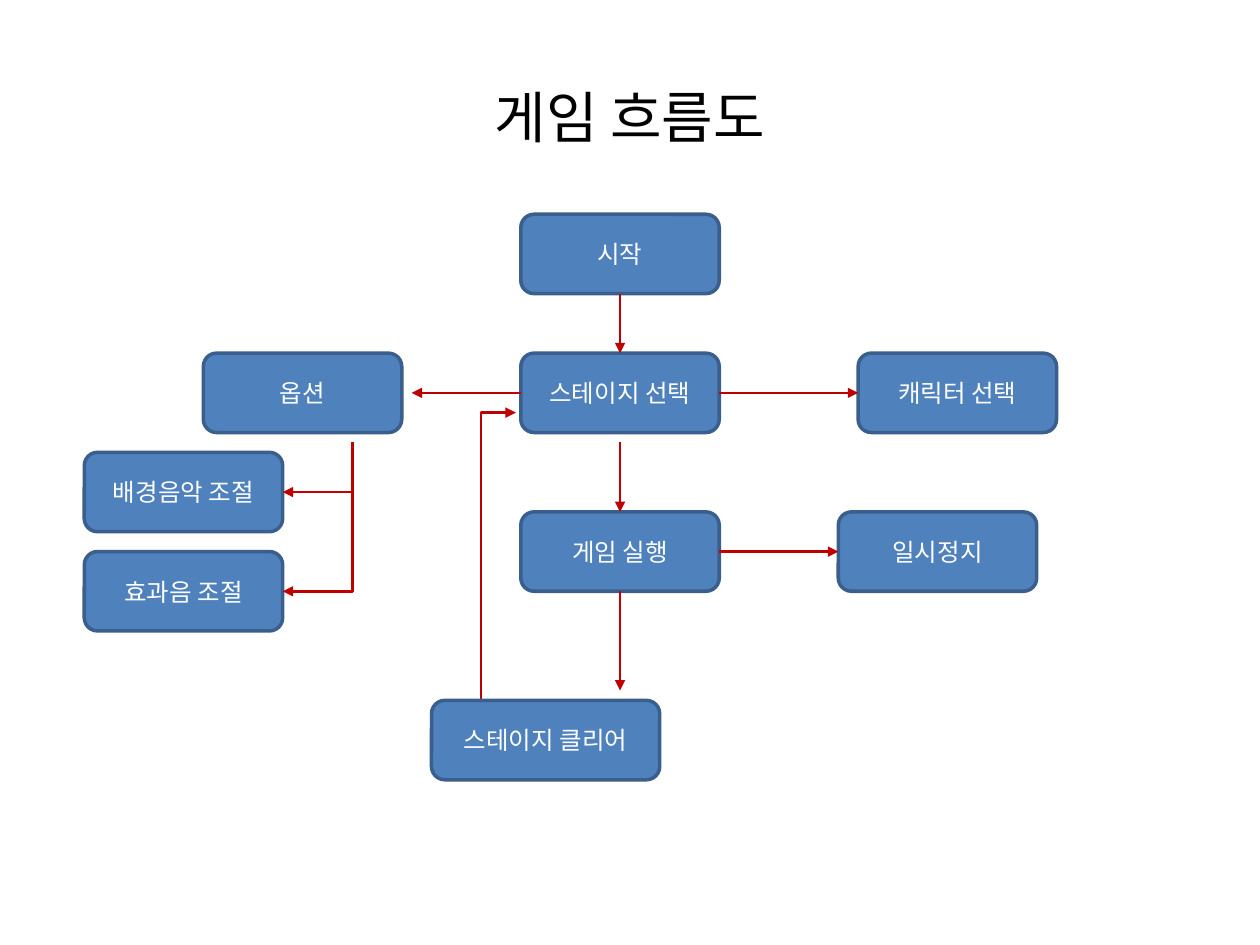
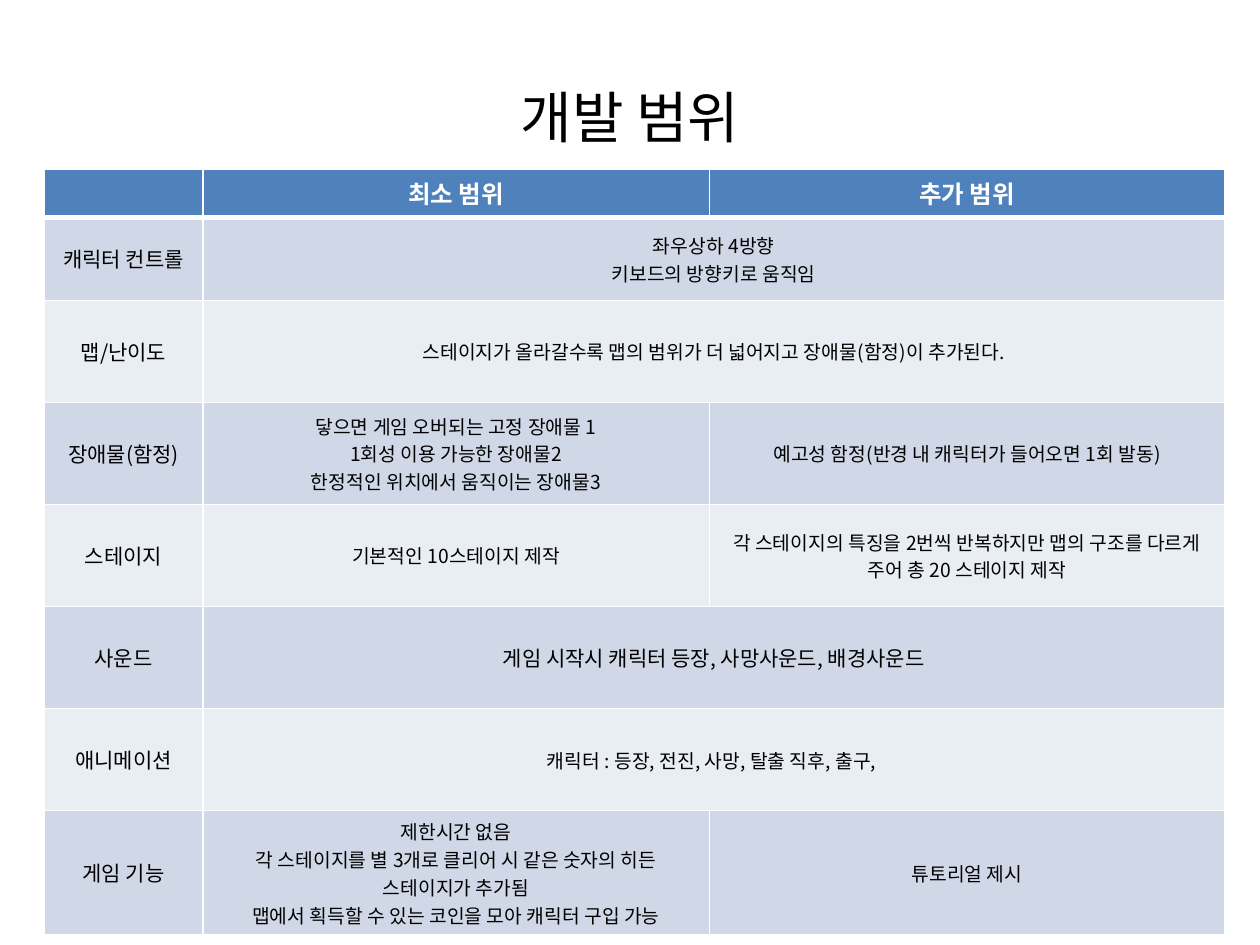
from dataclasses import dataclass

from lxml import etree
from pptx import Presentation, util as u
from pptx.dml.color import RGBColor
from pptx.enum import shapes, text
from pptx.oxml.ns import qn

# Shared look
FONT = "Noto Sans CJK KR"
BLACK = RGBColor(0x00, 0x00, 0x00)
WHITE = RGBColor(0xFF, 0xFF, 0xFF)
BLUE = RGBColor(0x4F, 0x81, 0xBD)
DARK_BLUE = RGBColor(0x3A, 0x5F, 0x8C)
RED = RGBColor(0xC0, 0x00, 0x00)
BANDS = (RGBColor(0xD0, 0xD8, 0xE8), RGBColor(0xE9, 0xED, 0xF4))

# Flow chart grid: square units with a small offset
UNIT = u.Mm(2)
ORIGIN_X, ORIGIN_Y = u.Mm(1), u.Mm(3.2)
STEP_WIDTH, STEP_HEIGHT = 20, 8


def grid_x(col: float) -> int:
    return round(ORIGIN_X + col * UNIT)


def grid_y(row: float) -> int:
    return round(ORIGIN_Y + row * UNIT)


@dataclass(frozen=True)
class Step:
    label: str
    col: float
    row: float
    width: float = STEP_WIDTH


@dataclass(frozen=True)
class Arrow:
    """Runs between two grid points; a bent one goes vertically first."""
    start: tuple[float, float]
    end: tuple[float, float]


@dataclass(frozen=True)
class ScopeRow:
    topic: str
    height: float
    minimum: tuple[str, ...]
    extra: tuple[str, ...] | None = None  # None: the minimum spans both columns
    size: float = 11


STEPS = (
    Step("시작", 52, 20),
    Step("스테이지 선택", 52, 34),
    Step("캐릭터 선택", 86, 34),
    Step("옵션", 20, 34),
    Step("배경음악 조절", 8, 44),
    Step("효과음 조절", 8, 54),
    Step("게임 실행", 52, 50),
    Step("일시정지", 84, 50),
)
STAGE_CLEAR = Step("스테이지 클리어", 43, 69, 23)

ARROWS = (
    Arrow((72, 54), (84, 54)),
    Arrow((52, 38), (41, 38)),
    Arrow((72, 38), (86, 38)),
    Arrow((62, 28), (62, 34)),
    Arrow((62, 43), (62, 50)),
    Arrow((62, 58), (62, 68)),
    Arrow((35, 43), (28, 58)),
    Arrow((35, 48), (28, 48)),
    Arrow((48, 71), (51.5, 40)),
)

SCOPE_COLUMNS = (1.26, 4.02, 4.09)
SCOPE_HEADER = ("", "최소 범위", "추가 범위")
HEADER_HEIGHT = 0.37
SCOPE_ROWS = (
    ScopeRow("캐릭터 컨트롤", 0.66, ("좌우상하 4방향", "키보드의 방향키로 움직임")),
    ScopeRow("맵/난이도", 0.81,
             ("스테이지가 올라갈수록 맵의 범위가 더 넓어지고 장애물(함정)이 추가된다.",)),
    ScopeRow("장애물(함정)", 0.81,
             ("닿으면 게임 오버되는 고정 장애물 1", "1회성 이용 가능한 장애물2",
              "한정적인 위치에서 움직이는 장애물3"),
             ("예고성 함정(반경 내 캐릭터가 들어오면 1회 발동)",)),
    ScopeRow("스테이지", 0.81, ("기본적인 10스테이지 제작",),
             ("각 스테이지의 특징을 2번씩 반복하지만 맵의 구조를 다르게 주어 총 20 스테이지 제작",)),
    ScopeRow("사운드", 0.81, ("게임 시작시 캐릭터 등장, 사망사운드, 배경사운드",), size=12),
    ScopeRow("애니메이션", 0.81, ("캐릭터 : 등장, 전진, 사망, 탈출 직후, 출구, ",)),
    ScopeRow("게임 기능", 0.86,
             ("제한시간 없음",
              "각 스테이지를 별 3개로 클리어 시 같은 숫자의 히든 스테이지가 추가됨",
              "맵에서 획득할 수 있는 코인을 모아 캐릭터 구입 가능"),
             ("튜토리얼 제시",)),
)


# Shared helpers
def write(frame, lines: tuple[str, ...], size: float, color: RGBColor, bold: bool = False) -> None:
    for index, line in enumerate(lines):
        paragraph = frame.paragraphs[0] if index == 0 else frame.add_paragraph()
        paragraph.alignment = text.PP_ALIGN.CENTER
        run = paragraph.add_run()
        run.text = line
        run.font.size = u.Pt(size)
        run.font.bold = bold
        run.font.color.rgb = color
        run.font.name = FONT
        etree.SubElement(run.font._element, qn("a:ea")).set("typeface", FONT)


def add_titled_slide(deck, title: str):
    slide = deck.slides.add_slide(deck.slide_layouts[5])
    heading = slide.shapes.title
    heading.left, heading.top = round(deck.slide_width * 0.05), round(deck.slide_height * 0.04)
    heading.width, heading.height = round(deck.slide_width * 0.9), u.Inches(1.25)
    heading.text_frame.vertical_anchor = text.MSO_ANCHOR.MIDDLE
    write(heading.text_frame, (title,), 32, BLACK)
    return slide


# Flow chart parts
def draw_step(slide, step: Step) -> None:
    box = slide.shapes.add_shape(
        shapes.MSO_SHAPE.ROUNDED_RECTANGLE, grid_x(step.col), grid_y(step.row),
        round(step.width * UNIT), STEP_HEIGHT * UNIT)
    box.shadow.inherit = False
    box.fill.solid()
    box.fill.fore_color.rgb = BLUE
    box.line.color.rgb = DARK_BLUE
    box.line.width = u.Pt(2)
    box.text_frame.vertical_anchor = text.MSO_ANCHOR.MIDDLE
    write(box.text_frame, (step.label,), 14, WHITE)


def draw_arrow(slide, arrow: Arrow) -> None:
    x1, y1 = grid_x(arrow.start[0]), grid_y(arrow.start[1])
    x2, y2 = grid_x(arrow.end[0]), grid_y(arrow.end[1])
    bent = x1 != x2 and y1 != y2
    kind = shapes.MSO_CONNECTOR.STRAIGHT
    if bent:
        # Lay the elbow on its side; the quarter turn below stands it up
        kind = shapes.MSO_CONNECTOR.ELBOW
        mid_x, mid_y, dx, dy = (x1 + x2) // 2, (y1 + y2) // 2, x2 - x1, y2 - y1
        x1, x2 = mid_x - dy // 2, mid_x + dy // 2
        y1, y2 = mid_y + dx // 2, mid_y - dx // 2
    link = slide.shapes.add_connector(kind, x1, y1, x2, y2)
    link.line.color.rgb = RED
    link.line.width = u.Pt(1.5)
    properties = link._element.spPr
    if bent:
        properties.find(qn("a:xfrm")).set("rot", "5400000")
        properties.find(qn("a:prstGeom")).set("prst", "bentConnector2")
    etree.SubElement(properties.find(qn("a:ln")), qn("a:tailEnd")).set("type", "triangle")
    etree.SubElement(properties, qn("a:effectLst"))


# Table parts
def draw_borders(cell, bottom: float) -> None:
    properties = cell._tc.get_or_add_tcPr()
    for index, (side, width) in enumerate((("L", 1), ("R", 1), ("T", 1), ("B", bottom))):
        line = etree.Element(qn(f"a:ln{side}"), w=str(u.Pt(width)))
        fill = etree.SubElement(line, qn("a:solidFill"))
        etree.SubElement(fill, qn("a:srgbClr")).set("val", str(WHITE))
        properties.insert(index, line)


def fill_cell(cell, lines: tuple[str, ...], size: float, color: RGBColor, fill: RGBColor,
              header: bool = False) -> None:
    cell.fill.solid()
    cell.fill.fore_color.rgb = fill
    cell.vertical_anchor = text.MSO_ANCHOR.MIDDLE
    draw_borders(cell, 3 if header else 1)
    if any(lines):
        write(cell.text_frame, lines, size, color, header)
    else:
        # Keep an empty cell from stretching its row
        etree.SubElement(cell.text_frame.paragraphs[0]._p,
                         qn("a:endParaRPr")).set("sz", str(round(size * 100)))


def draw_scope_table(slide) -> None:
    heights = (HEADER_HEIGHT, *(row.height for row in SCOPE_ROWS))
    table = slide.shapes.add_table(
        len(heights), len(SCOPE_COLUMNS), u.Inches(0.35), u.Inches(1.34),
        u.Inches(sum(SCOPE_COLUMNS)), u.Inches(sum(heights))).table
    for column, width in zip(table.columns, SCOPE_COLUMNS):
        column.width = u.Inches(width)
    for table_row, height in zip(table.rows, heights):
        table_row.height = u.Inches(height)

    for col, label in enumerate(SCOPE_HEADER):
        fill_cell(table.cell(0, col), (label,), 14, WHITE, BLUE, header=True)
    for index, row in enumerate(SCOPE_ROWS):
        band = BANDS[index % 2]
        topic, minimum, extra = (table.cell(index + 1, col) for col in range(3))
        fill_cell(topic, (row.topic,), 12, BLACK, band)
        fill_cell(minimum, row.minimum, row.size, BLACK, band)
        fill_cell(extra, row.extra or ("",), row.size, BLACK, band)
        if row.extra is None:
            minimum.merge(extra)


def main() -> None:
    deck = Presentation()
    deck.slide_width, deck.slide_height = u.Inches(10), u.Inches(7.5)

    # Game flow
    flow = add_titled_slide(deck, "게임 흐름도")
    for step in STEPS:
        draw_step(flow, step)
    for arrow in ARROWS:
        draw_arrow(flow, arrow)
    draw_step(flow, STAGE_CLEAR)  # covers the start of the return arrow

    # Development scope
    draw_scope_table(add_titled_slide(deck, "개발 범위"))

    deck.save("out.pptx")


if __name__ == "__main__":
    main()
